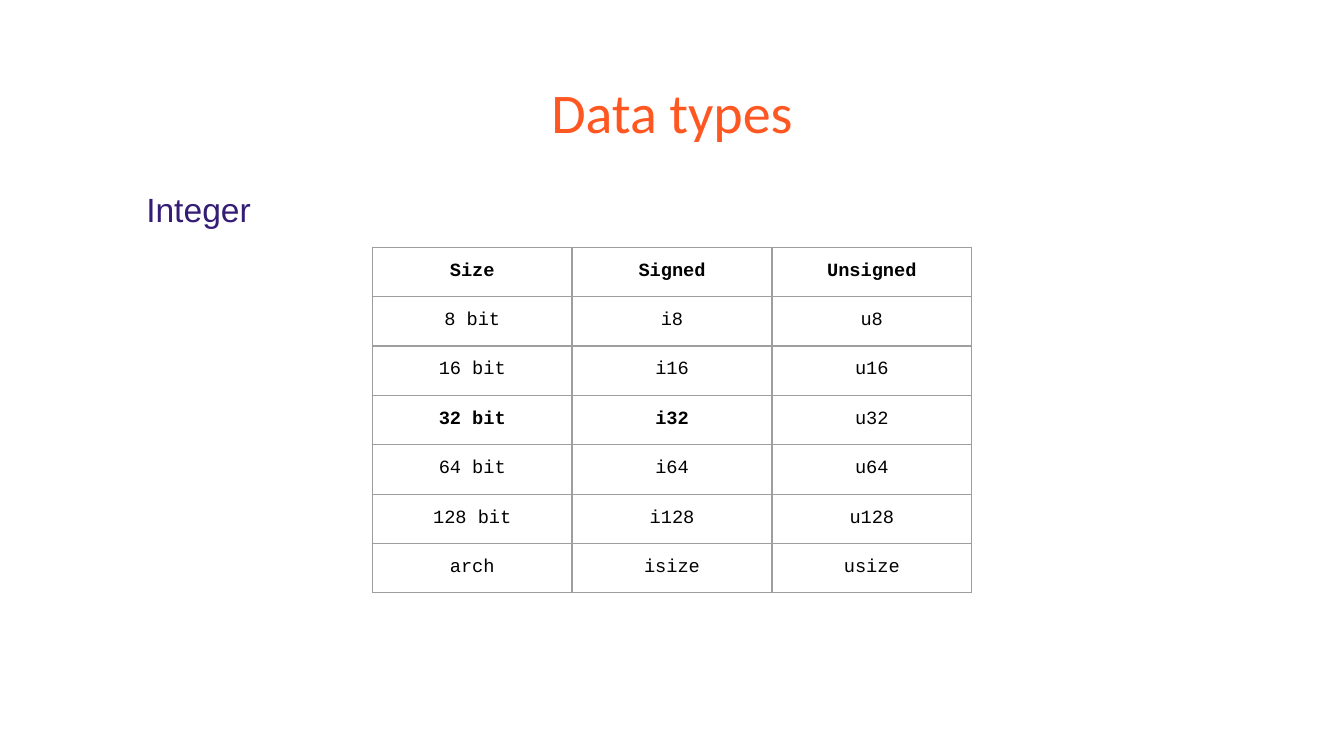
from lxml import etree
from pptx import Presentation
from pptx.dml.color import RGBColor
from pptx.enum import text
from pptx.oxml import ns
from pptx.util import Inches, Pt

ORANGE = RGBColor(0xFF, 0x57, 0x22)
PURPLE = RGBColor(0x35, 0x1C, 0x75)
BLACK = RGBColor(0, 0, 0)
GREY = RGBColor(0x9E, 0x9E, 0x9E)

CENTER = text.PP_ALIGN.CENTER
LEFT = text.PP_ALIGN.LEFT

HEADS = [
    ("Data types", (0.34, 0.48, 9.32, 0.63),
     {"name": "Calibri", "size": Pt(30)}, ORANGE, {"alignment": CENTER}),
    ("Integer", (0.99, 1.26, 8, 3.74),
     {"name": "Arial", "size": Pt(18)}, PURPLE,
     {"alignment": LEFT, "line_spacing": 1.15, "space_after": Pt(16)}),
]
ROWS = [
    ("Size", "Signed", "Unsigned"),
    ("8 bit", "i8", "u8"),
    ("16 bit", "i16", "u16"),
    ("32 bit", "i32", "u32"),
    ("64 bit", "i64", "u64"),
    ("128 bit", "i128", "u128"),
    ("arch", "isize", "usize"),
]
BOLD = {*ROWS[0], "32 bit", "i32"}
CODE = {"name": "Courier New", "size": Pt(10)}
GRID = (2.77, 1.84, 4.46, 2.57)
PAD = {f"margin_{side}": Inches(0.1)
       for side in ("left", "right", "top", "bottom")}


def apply(target, values):
    for key, value in values.items():
        setattr(target, key, value)


def write(frame, words, font, color, para):
    line = frame.paragraphs[0]
    line.text = words
    apply(line, para)
    run = line.runs[0]
    apply(run.font, font)
    run.font.color.rgb = color


def border(cell):
    props = cell._tc.get_or_add_tcPr()
    for i, side in enumerate(("lnL", "lnR", "lnT", "lnB")):
        edge = etree.Element(ns.qn(f"a:{side}"), w=str(Pt(0.75)))
        fill = etree.SubElement(edge, ns.qn("a:solidFill"))
        etree.SubElement(fill, ns.qn("a:srgbClr"), val=str(GREY))
        props.insert(i, edge)


deck = Presentation()
deck.slide_width = Inches(10)
deck.slide_height = deck.slide_width * 9 // 16
slide = deck.slides.add_slide(deck.slide_layouts[6])

for words, place, font, color, para in HEADS:
    frame = slide.shapes.add_textbox(*map(Inches, place)).text_frame
    apply(frame, {**PAD, "word_wrap": True})
    write(frame, words, font, color, para)

grid = slide.shapes.add_table(
    len(ROWS), len(ROWS[0]), *map(Inches, GRID)).table
apply(grid, {"first_row": False, "horz_banding": False})
for r, row in enumerate(ROWS):
    for c, words in enumerate(row):
        cell = grid.cell(r, c)
        apply(cell, PAD)
        cell.fill.background()
        border(cell)
        write(cell.text_frame, words, {**CODE, "bold": words in BOLD},
              BLACK, {"alignment": CENTER})

deck.save("out.pptx")
